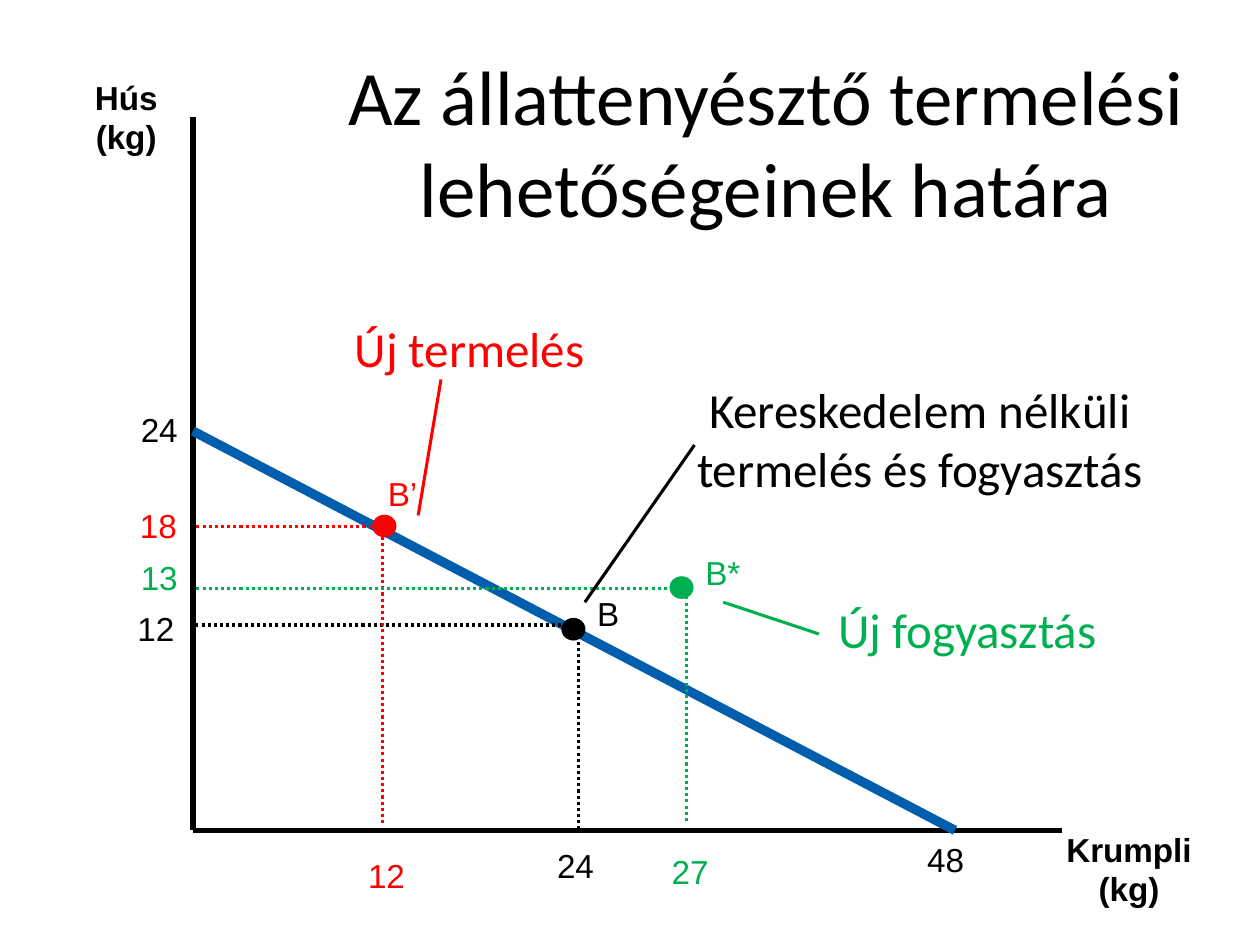
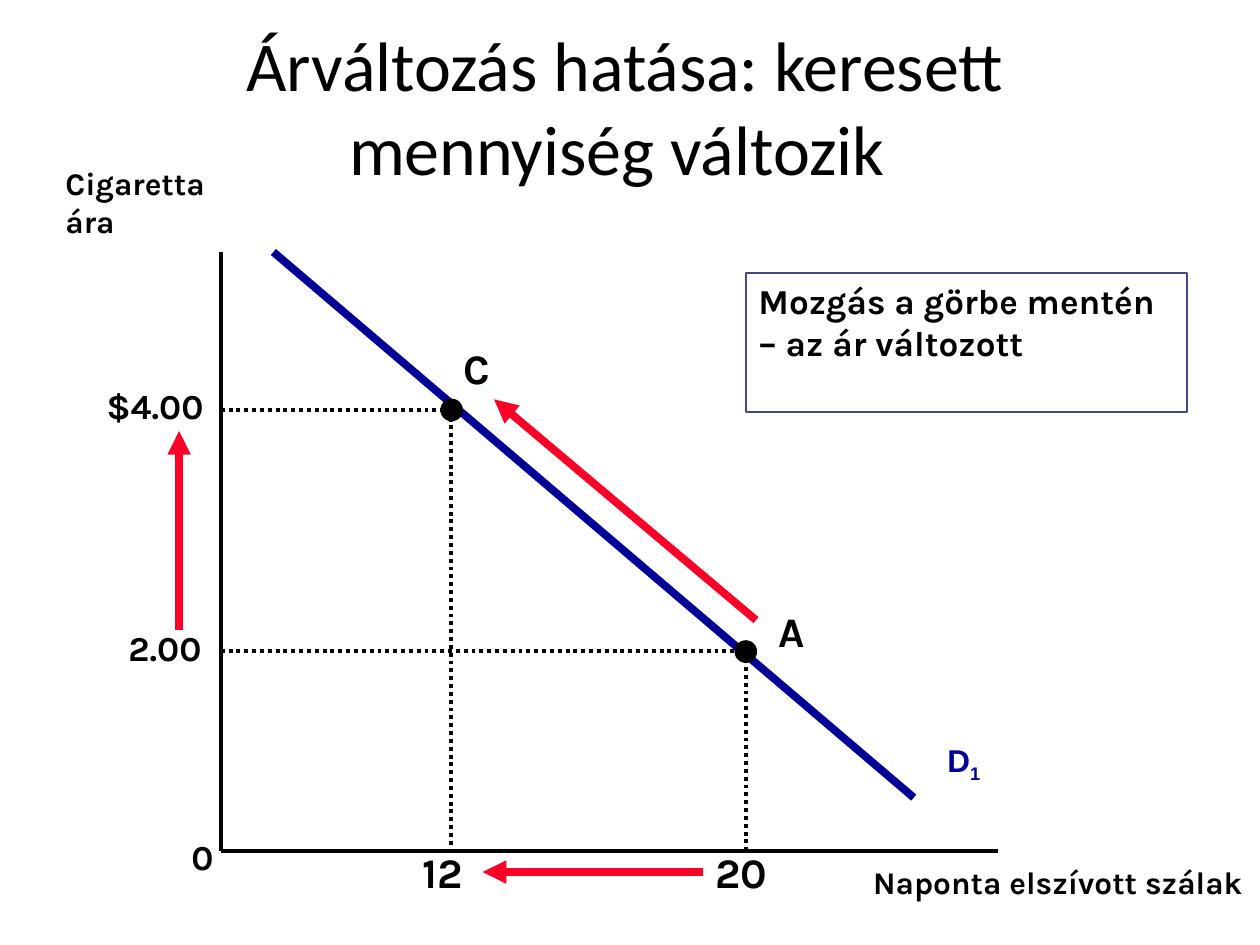
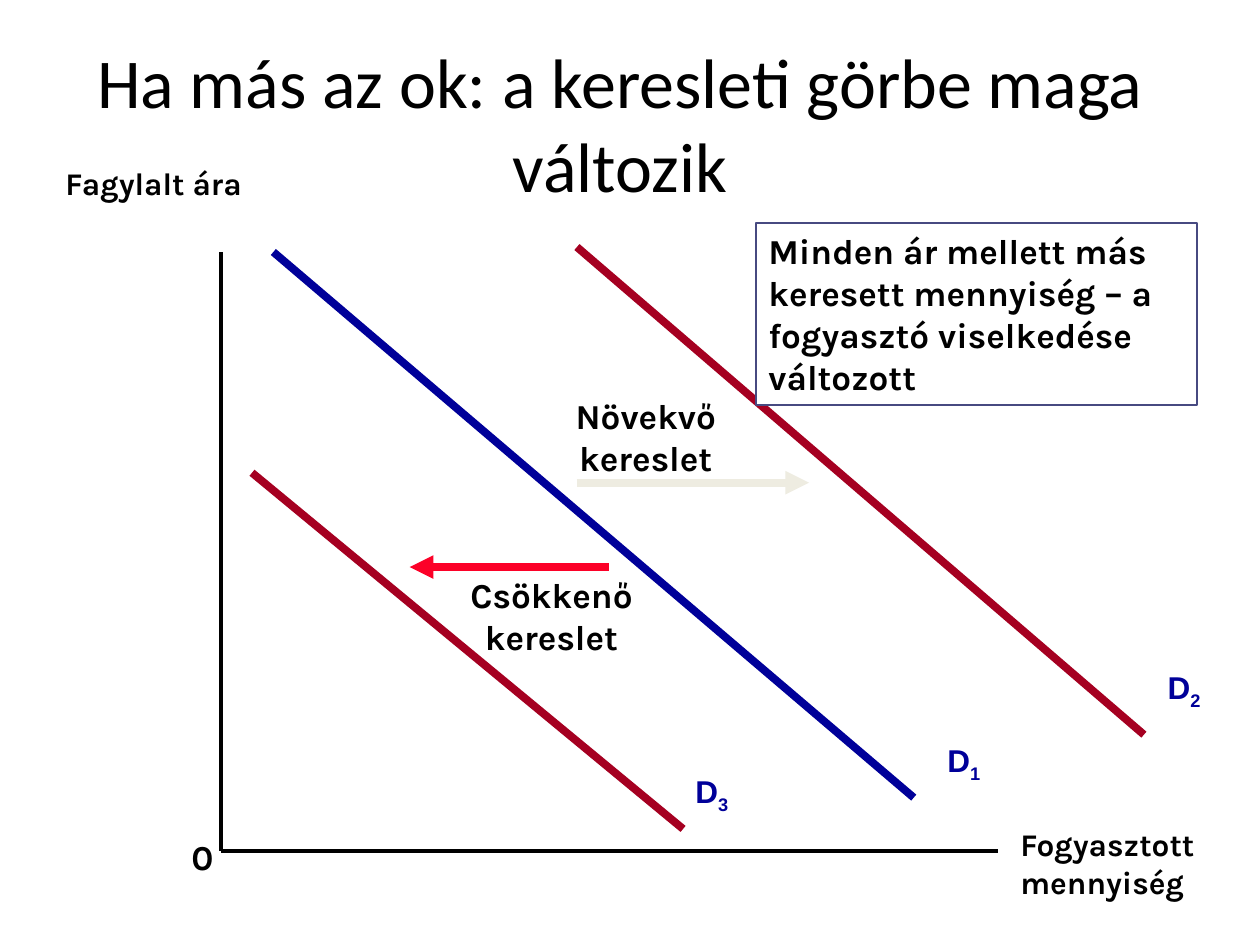
from lxml import etree
from pptx import Presentation
from pptx.dml.color import RGBColor
from pptx.enum import dml, shapes, text
from pptx.oxml import ns
from pptx.util import Cm, Pt

BLACK = RGBColor(0x00, 0x00, 0x00)
WHITE = RGBColor(0xFF, 0xFF, 0xFF)
RED = RGBColor(0xFF, 0x00, 0x00)
GREEN = RGBColor(0x00, 0xB0, 0x50)
BLUE = RGBColor(0x00, 0x5E, 0xAD)
NAVY = RGBColor(0x00, 0x00, 0x99)
CRIMSON = RGBColor(0xFC, 0x01, 0x28)
MAROON = RGBColor(0xA5, 0x00, 0x21)
CREAM = RGBColor(0xEE, 0xEC, 0xE1)
SLATE = RGBColor(0x47, 0x4A, 0x81)

LEFT = text.PP_ALIGN.LEFT
CENTER = text.PP_ALIGN.CENTER
INSETS = (0.25, 0.13)


class Board:
    """Holds the deck and its style, and draws on the current slide."""

    def __init__(self):
        self.deck = Presentation()
        self.deck.slide_width = Cm(25.4)
        self.deck.slide_height = Cm(19.05)
        self.page = None

    def new_page(self):
        self.page = self.deck.slides.add_slide(self.deck.slide_layouts[6])

    def set_text(self, box, words, size, font, color, bold, align, insets, subscript):
        frame = box.text_frame
        frame.word_wrap = insets != (0, 0)
        frame.auto_size = text.MSO_AUTO_SIZE.NONE
        frame.vertical_anchor = text.MSO_ANCHOR.TOP
        frame.margin_left = frame.margin_right = Cm(insets[0])
        frame.margin_top = frame.margin_bottom = Cm(insets[1])
        for index, line in enumerate(words.split("\n")):
            para = frame.add_paragraph() if index else frame.paragraphs[0]
            para.alignment = align
            for part, piece in enumerate(line.split("\v")):
                if part:
                    para.add_line_break()
                self.span(para, piece, size, font, color, bold)
        if subscript:
            low = self.span(para, subscript, size, font, color, bold)
            low._r.get_or_add_rPr().set("baseline", "-25000")

    def span(self, para, words, size, font, color, bold):
        span = para.add_run()
        span.text = words
        span.font.size = Pt(size)
        span.font.name = font
        span.font.bold = bold
        span.font.color.rgb = color
        return span

    def label(self, words, left, top, width, height, size=20, font="Karla", color=BLACK,
              bold=True, align=LEFT, insets=INSETS, subscript=""):
        box = self.page.shapes.add_textbox(Cm(left), Cm(top), Cm(width), Cm(height))
        self.set_text(box, words, size, font, color, bold, align, insets, subscript)

    def title(self, words, left, top, width, height, size=40):
        self.label(words, left, top, width, height, size, "Calibri", bold=False, align=CENTER)

    def mark(self, words, left, top, width=0.74, color=BLACK):
        self.label(words, left, top, width, 0.81, 19, "Arial", color, False, insets=(0, 0))

    def axis_name(self, words, left, top, width):
        self.label(words, left, top, width, 1.6, 19, "Arial", align=CENTER, insets=(0, 0))

    def callout(self, words, left, top, width, height, color=BLACK):
        self.label(words, left, top, width, height, 28, "Calibri", color, False, CENTER, (0, 0))

    def curve_name(self, number, left, top):
        self.label("D", left, top, 2.11, 1.12, 18, "Arial", NAVY, subscript=number)

    def framed(self, words, left, top, width, height):
        box = self.page.shapes.add_shape(
            shapes.MSO_SHAPE.RECTANGLE, Cm(left), Cm(top), Cm(width), Cm(height))
        box.shadow.inherit = False
        box.fill.solid()
        box.fill.fore_color.rgb = WHITE
        box.line.color.rgb = SLATE
        box.line.width = Pt(1)
        self.set_text(box, words, 20, "Karla", BLACK, True, LEFT, INSETS, "")

    def dot(self, left, top, width=0.43, height=0.43, color=BLACK):
        dot = self.page.shapes.add_shape(
            shapes.MSO_SHAPE.OVAL, Cm(left), Cm(top), Cm(width), Cm(height))
        dot.shadow.inherit = False
        dot.fill.solid()
        dot.fill.fore_color.rgb = color
        dot.line.color.rgb = color
        dot.line.width = Pt(0.75)

    def line(self, x1, y1, x2, y2, color=BLACK, weight=2.25, dotted=False, arrow=False):
        line = self.page.shapes.add_connector(
            shapes.MSO_CONNECTOR.STRAIGHT, Cm(x1), Cm(y1), Cm(x2), Cm(y2))
        line.line.color.rgb = color
        line.line.width = Pt(weight)
        if dotted:
            line.line.dash_style = dml.MSO_LINE.ROUND_DOT
        properties = line.element.spPr
        if arrow:
            etree.SubElement(properties.find(ns.qn("a:ln")), ns.qn("a:tailEnd"), type="triangle")
        etree.SubElement(properties, ns.qn("a:effectLst"))

    def arrow(self, x1, y1, x2, y2, color=CRIMSON):
        self.line(x1, y1, x2, y2, color, 4.5, arrow=True)

    def guide(self, left, top, right, bottom, color):
        builder = self.page.shapes.build_freeform(Cm(left), Cm(top))
        points = [(Cm(right), Cm(top)), (Cm(right), Cm(bottom))]
        builder.add_line_segments(points, close=False)
        guide = builder.convert_to_shape()
        guide.shadow.inherit = False
        guide.fill.background()
        guide.line.color.rgb = color
        guide.line.width = Pt(1.75)
        guide.line.dash_style = dml.MSO_LINE.ROUND_DOT

    def demand_axes(self, price):
        self.line(4.45, 5.08, 4.45, 17.15)
        self.line(4.45, 17.15, 20.12, 17.15)
        self.line(5.51, 5.08, 18.42, 16.08, NAVY, 4.5)
        self.label("0", 3.61, 16.71, 2.11, 1.12)
        self.curve_name("1", 18.85, 14.81)
        self.label(price, 1.07, 3.18, 4.24, 1.78, 18)


def production_page(board):
    board.new_page()
    board.line(3.89, 2.36, 3.89, 16.74, weight=3)
    board.line(3.89, 16.74, 21.41, 16.74, weight=3)
    board.line(3.89, 8.69, 19.25, 16.74, BLUE, 5.39)
    board.title("Az állattenyésztő termelési lehetőségeinek határa", 5.92, 0.84, 19.05, 2.54, 44)
    board.axis_name("Hús\n(kg)", 1.91, 1.55, 1.27)
    board.axis_name("Krumpli\n(kg)", 21.49, 16.71, 2.54)

    guides = [(3.94, 12.6, 11.66, 16.74, BLACK), (3.96, 10.62, 7.72, 16.61, RED),
              (3.96, 11.86, 13.84, 16.61, GREEN)]
    for guide in guides:
        board.guide(*guide)
    for left, top, color in [(11.33, 12.47, BLACK), (7.52, 10.39, RED), (13.51, 11.63, GREEN)]:
        board.dot(left, top, 0.46, 0.43, color)

    marks = [("24", 2.84, 8.26), ("48", 18.69, 16.92), ("24", 11.23, 17.04),
             ("12", 2.77, 12.27), ("B", 12.04, 11.96, 0.46),
             ("B’", 7.82, 9.55, 0.61, RED), ("12", 7.42, 17.25, 0.74, RED),
             ("18", 2.82, 10.19, 0.74, RED), ("B*", 14.22, 11.13, 0.71, GREEN),
             ("27", 13.54, 17.17, 0.74, GREEN), ("13", 2.84, 11.23, 0.74, GREEN)]
    for mark in marks:
        board.mark(*mark)

    board.line(11.79, 12.14, 14, 8.97, BLACK, 1.75)
    board.callout("Kereskedelem nélküli\vtermelés és fogyasztás", 14.02, 7.65, 9.04, 2.36)
    board.line(8.43, 10.39, 8.89, 7.65, RED, 1.75)
    board.callout("Új termelés", 7.14, 6.43, 4.65, 1.19, RED)
    board.line(14.58, 12.14, 16.51, 12.78, GREEN, 1.75)
    board.callout("Új fogyasztás", 16.87, 12.09, 5.26, 1.19, GREEN)


def price_change_page(board):
    board.new_page()
    board.title("Árváltozás hatása: keresett mennyiség változik ", 1.8, 0.3, 21.59, 3.18)
    board.demand_axes("Cigaretta ára")
    board.label("Naponta elszívott szálak", 17.35, 17.27, 8.05, 1.78, 18)
    board.framed("Mozgás a görbe mentén – az ár változott", 15.04, 5.51, 8.89, 2.79)
    for x, y in [(9.1, 8.26), (15.03, 13.13)]:
        board.line(4.45, y, x, y, dotted=True)
        board.line(x, y, x, 17.15, dotted=True)
        board.dot(x - 0.21, y - 0.21)
    board.label("A", 15.44, 12.07, 0.84, 1.27, 24)
    board.label("C", 9.09, 6.78, 1.47, 1.27, 24)
    board.label("20", 14.17, 16.94, 1.9, 1.27, 24)
    board.label("12", 8.26, 16.94, 1.9, 1.27, 24)
    board.label("2.00", 2.34, 12.5, 2.54, 1.12)
    board.label("$4.00", 1.9, 7.62, 2.54, 1.12)
    board.arrow(15.24, 12.5, 9.96, 8.05)
    board.arrow(3.61, 12.7, 3.61, 8.69)
    board.arrow(14.17, 17.58, 9.73, 17.58)


def demand_shift_page(board):
    board.new_page()
    board.title("Ha más az ok: a keresleti görbe maga változik", 1.7, 0.64, 21.59, 3.18)
    board.demand_axes("Fagylalt ára")
    board.label("Fogyasztott mennyiség", 20.32, 16.51, 4.65, 1.78, 18)
    board.line(11.63, 4.98, 23.06, 14.81, MAROON, 4.5)
    board.curve_name("2", 23.29, 13.34)
    board.line(5.08, 9.53, 13.77, 16.71, MAROON, 4.5)
    board.curve_name("3", 13.77, 15.44)
    board.arrow(12.27, 11.43, 8.26, 11.43)
    board.arrow(11.63, 9.73, 16.31, 9.73, CREAM)
    board.label("Növekvő kereslet", 10.16, 7.82, 5.72, 1.96, align=CENTER)
    board.label("Csökkenő kereslet", 8.26, 11.43, 5.72, 1.96, align=CENTER)
    board.framed("Minden ár mellett más keresett mennyiség – a fogyasztó viselkedése változott",
                 15.24, 4.5, 8.89, 3.66)


def main():
    board = Board()
    production_page(board)
    price_change_page(board)
    demand_shift_page(board)
    board.deck.save("out.pptx")


if __name__ == "__main__":
    main()
